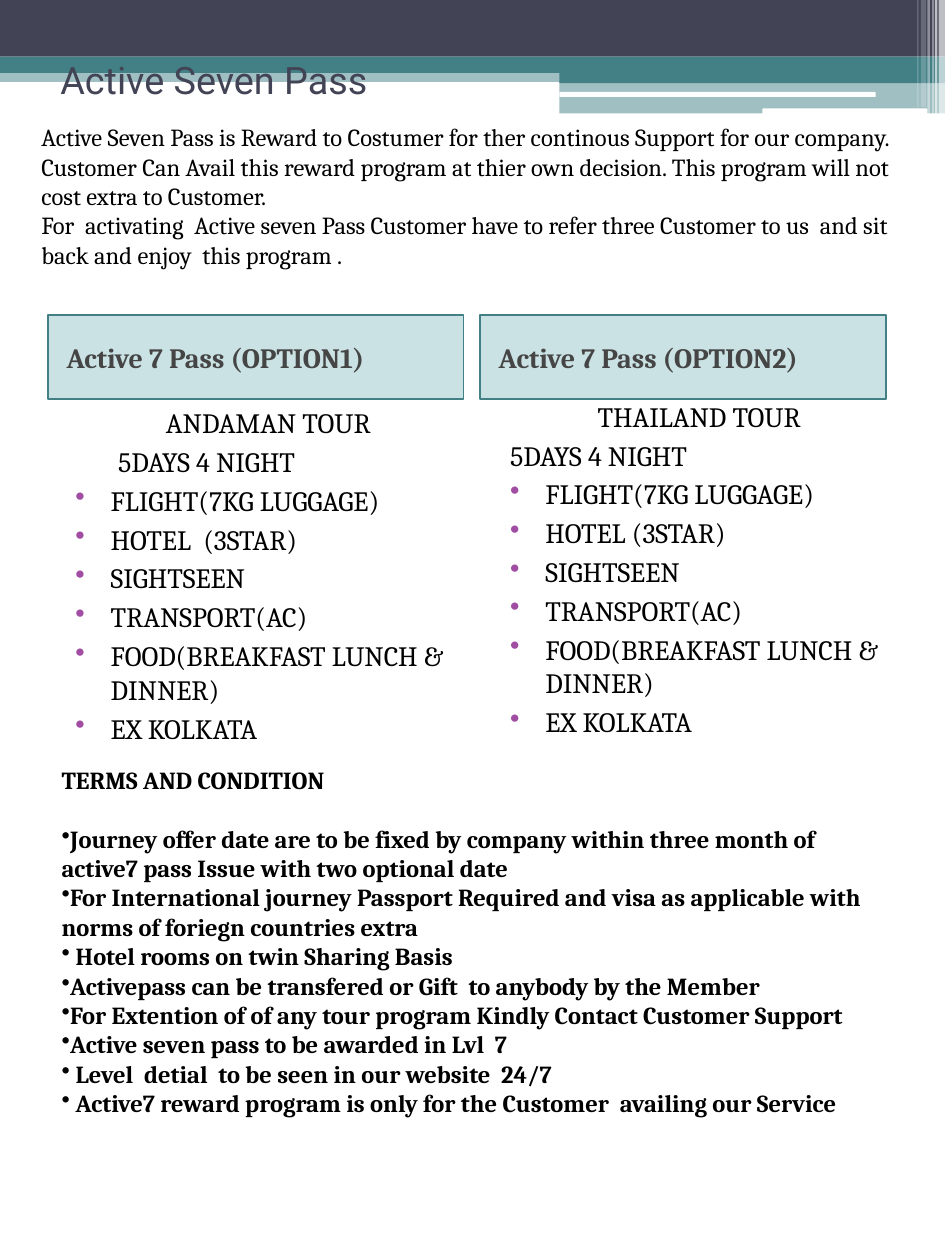
from lxml import etree
from pptx import Presentation
from pptx import util as u
from pptx.dml.color import RGBColor
from pptx.enum import shapes, text
from pptx.oxml.ns import qn

THEME = {
    "navy": "424456", "teal": "438086", "aqua": "328E97", "white": "FFFFFF",
    "black": "000000", "grey": "454545", "purple": "A04DA3",
    "heading_font": "Roboto", "body_font": "Cambria",
    "title_size": 21.6, "option_size": 16, "body_size": 14,
}

# Content
TITLE = "Active Seven Pass"
INTRO = [
    "Active Seven Pass is Reward to Costumer for ther continous Support for our company. "
    "Customer Can Avail this reward program at thier own decision. "
    "This program will not cost extra to Customer.",
    "For  activating  Active seven Pass Customer have to refer three Customer to us  "
    "and sit back and enjoy  this program .",
]
DURATION = "5DAYS 4 NIGHT"
OPTIONS = [
    {"heading": "Active 7 Pass (OPTION1)", "tour": "ANDAMAN TOUR", "hotel": "HOTEL  (3STAR)",
     "heading_box": (0.38, 2.5, 3.3, 0.67), "list_box": (0.38, 3.17, 3.38, 3.31),
     "duration_indent": 0.46},
    {"heading": "Active 7 Pass (OPTION2)", "tour": "THAILAND TOUR", "hotel": "HOTEL (3STAR)",
     "heading_box": (3.81, 2.5, 3.22, 0.67), "list_box": (3.83, 3.12, 3.32, 3.05),
     "duration_indent": 0.12},
]
INCLUDED = ["SIGHTSEEN", "TRANSPORT(AC)", "FOOD(BREAKFAST LUNCH & DINNER)", "EX KOLKATA"]
TERMS_HEADING = "TERMS AND CONDITION"
TERMS = [
    "Journey offer date are to be fixed by company within three month of active7 pass Issue "
    "with two optional date",
    "For International journey Passport Required and visa as applicable with norms of "
    "foriegn countries extra",
    " Hotel rooms on twin Sharing Basis",
    "Activepass can be transfered or Gift  to anybody by the Member",
    "For Extention of of any tour program Kindly Contact Customer Support",
    "Active seven pass to be awarded in Lvl  7",
    " Level  detial  to be seen in our website  24/7",
    " Active7 reward program is only for the Customer  availing our Service",
]

# Header decoration: box, colour, opacity in percent
BANDS = [
    ((0, 0.53, 7.5, 0.12), "teal", 50),
    ((0, 0, 7.5, 0.45), "navy", 100),
    ((0, 0.45, 7.5, 0.13), "teal", 100),
    ((4.44, 0.53, 3.06, 0.13), "teal", 100),
    ((4.44, 0.64, 3.06, 0.26), "teal", 50),
]
ROUNDED_BARS = [(4.44, 0.73, 2.51, 0.04), (6.05, 0.86, 1.31, 0.05)]
# Edge stripes: left, width, height, opacity in percent
STRIPES = [
    (7.45, 0.05, 0.91, 65), (7.42, 0.02, 0.91, 65), (7.4, 0.01, 0.91, 60),
    (7.36, 0.02, 0.91, 40), (7.31, 0.04, 0.85, 20), (7.28, 0.01, 0.85, 30),
]

presentation = Presentation()
presentation.slide_width, presentation.slide_height = u.Inches(7.5), u.Inches(10)
slide = presentation.slides.add_slide(presentation.slide_layouts[6])


def color(name):
    return RGBColor.from_string(THEME[name])


def add_block(box, fill, opacity=100, line=None, kind=shapes.MSO_SHAPE.RECTANGLE):
    shape = slide.shapes.add_shape(kind, *map(u.Inches, box))
    shape.shadow.inherit = False
    shape.fill.solid()
    shape.fill.fore_color.rgb = color(fill)
    if opacity < 100:
        rgb = shape.fill._xPr.find(".//" + qn("a:srgbClr"))
        etree.SubElement(rgb, qn("a:alpha"), val=str(opacity * 1000))
    if line:
        shape.line.color.rgb = color(line)
        shape.line.width = u.Pt(1)
    else:
        shape.line.fill.background()
    return shape


def add_bullet(paragraph, bullet_color=None):
    properties = paragraph._p.get_or_add_pPr()
    if bullet_color:
        holder = etree.SubElement(properties, qn("a:buClr"))
        etree.SubElement(holder, qn("a:srgbClr"), val=THEME[bullet_color])
    etree.SubElement(properties, qn("a:buChar"), char="•")


def write(shape, rows, size, font="body_font", ink="black", bold=False, middle=False):
    """Each row is a text and a dict of paragraph format values."""
    frame = shape.text_frame
    frame.word_wrap = True
    frame.vertical_anchor = text.MSO_ANCHOR.MIDDLE if middle else text.MSO_ANCHOR.TOP
    font_format = {"name": THEME[font], "size": u.Pt(THEME[size]), "bold": bold}
    for index, (words, row) in enumerate(rows):
        paragraph = frame.paragraphs[0] if index == 0 else frame.add_paragraph()
        paragraph.alignment = row.get("align", text.PP_ALIGN.LEFT)
        for name in ("space_before", "space_after"):
            setattr(paragraph, name, u.Pt(row.get(name, 0)))
        margin, indent = row.get("indent", (0, 0))
        properties = paragraph._p.get_or_add_pPr()
        properties.set("marL", str(u.Inches(margin)))
        properties.set("indent", str(u.Inches(indent)))
        if "bullet" in row:
            add_bullet(paragraph, row["bullet"])
        run = paragraph.add_run()
        run.text = words
        for name, value in font_format.items():
            setattr(run.font, name, value)
        run.font.color.rgb = color(ink)


def add_text(box, rows, size, **style):
    write(slide.shapes.add_textbox(*map(u.Inches, box)), rows, size, **style)


# Header
for box, fill, opacity in BANDS:
    add_block(box, fill, opacity)
for box in ROUNDED_BARS:
    add_block(box, "white", kind=shapes.MSO_SHAPE.ROUNDED_RECTANGLE)
for left, width, height, opacity in STRIPES:
    add_block((left, 0, width, height), "white", opacity)

# Title
add_text((0.38, 0.4, 6.75, 0.46), [(TITLE, {})], "title_size",
         font="heading_font", ink="navy", middle=True)

# Two tour options
HANGING = {"indent": (0.4, -0.28), "space_before": 3}
for option in OPTIONS:
    heading = add_block(option["heading_box"], "aqua", 25, line="teal")
    write(heading, [(option["heading"], {"indent": (0.05, 0), "space_before": 3})],
          "option_size", ink="grey", bold=True, middle=True)
    rows = [
        (option["tour"], {**HANGING, "align": text.PP_ALIGN.CENTER}),
        (DURATION, {**HANGING, "indent": (option["duration_indent"], 0)}),
    ]
    rows += [(item, {**HANGING, "bullet": "purple"})
             for item in ["FLIGHT(7KG LUGGAGE)", option["hotel"], *INCLUDED]]
    add_text(option["list_box"], rows, "option_size")

# Introduction
add_text((0.23, 0.92, 7.03, 1.51), [(words, {}) for words in INTRO], "body_size")

# Terms
add_text((0.39, 6.02, 6.56, 3.98),
         [(TERMS_HEADING, {"space_after": 16.8})] + [(term, {"bullet": None}) for term in TERMS],
         "body_size", bold=True)

presentation.save("out.pptx")
